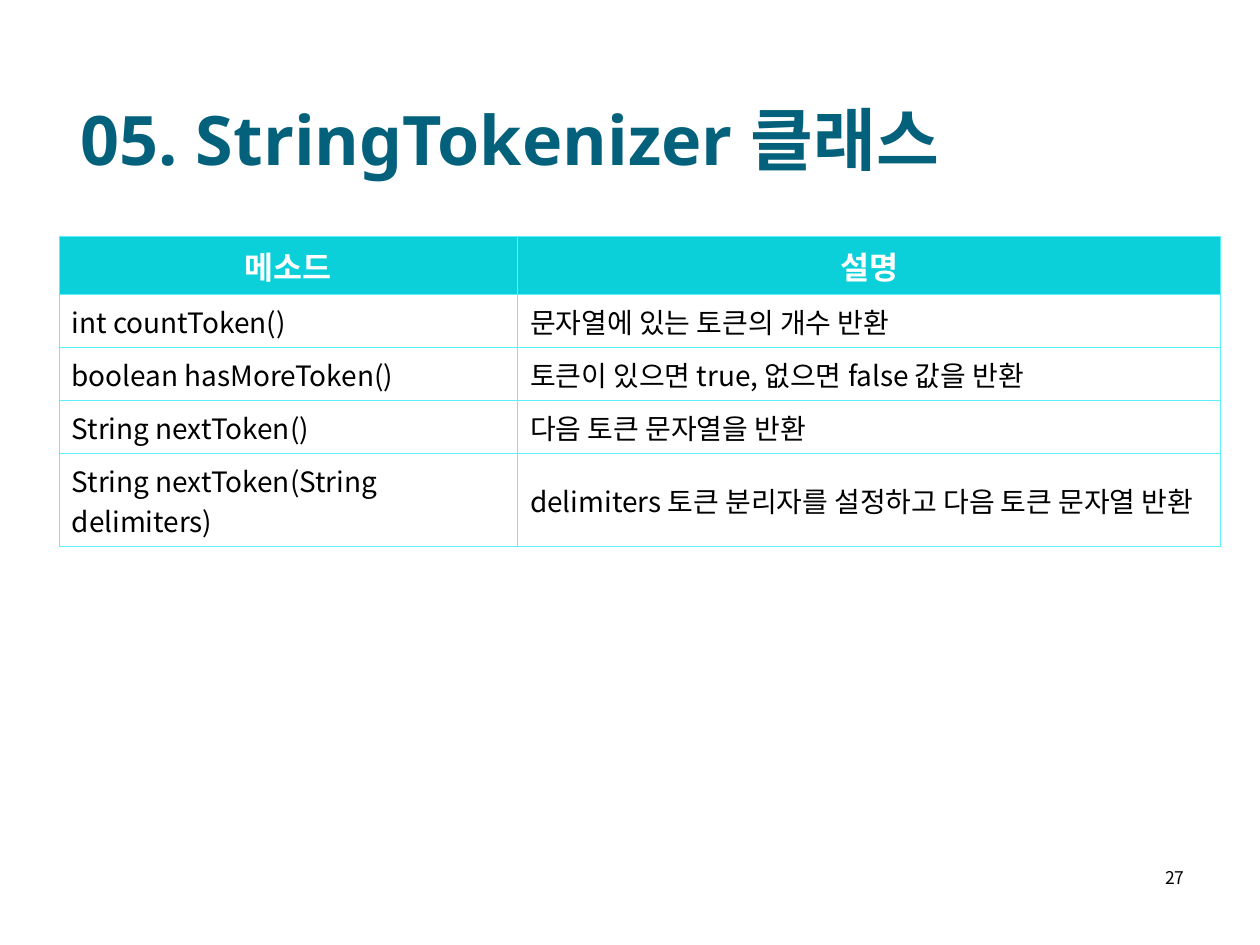
"""Build the StringTokenizer method table slide."""
from lxml.etree import SubElement
from pptx import Presentation
from pptx.dml.color import RGBColor
from pptx.enum.text import MSO_ANCHOR, MSO_AUTO_SIZE, PP_ALIGN
from pptx.oxml.ns import qn
from pptx.util import Pt

TITLE = "05. StringTokenizer 클래스"
PAGE = "27"
ROWS = [
    ("메소드", "설명"),
    ("int countToken()", "문자열에 있는 토큰의 개수 반환"),
    ("boolean hasMoreToken()", "토큰이 있으면 true, 없으면 false 값을 반환"),
    ("String nextToken()", "다음 토큰 문자열을 반환"),
    ("String nextToken(String delimiters)",
     "delimiters 토큰 분리자를 설정하고 다음 토큰 문자열 반환"),
]
COL_WIDTHS = (262, 401.8)
ROW_HEIGHTS = (33.1, 30.3, 30.3, 30.3, 53.2)

NAVY = RGBColor(0x04, 0x61, 0x7B)
TURQUOISE = RGBColor(0x0B, 0xD0, 0xD9)
AQUA = RGBColor(0x5E, 0xF0, 0xF7)
WHITE = RGBColor(255, 255, 255)
BLACK = RGBColor(0, 0, 0)
KOREAN = "Noto Sans CJK KR"


def write(tf, text, size, name, color, bold=False, align=PP_ALIGN.LEFT):
    p = tf.paragraphs[0]
    p.text = text
    p.alignment = align
    font = p.font
    font.size, font.name, font.bold = Pt(size), name, bold
    font.color.rgb = color
    SubElement(p._p.pPr.find(qn("a:defRPr")), qn("a:ea"), typeface=KOREAN)


def add_borders(cell):
    tc_pr = cell._tc.get_or_add_tcPr()
    for side in ("lnL", "lnR", "lnT", "lnB"):
        ln = SubElement(tc_pr, qn(f"a:{side}"), w=str(Pt(0.45)))
        fill = SubElement(ln, qn("a:solidFill"))
        SubElement(fill, qn("a:srgbClr"), val=str(AQUA))


def add_method_table(s):
    frame = s.shapes.add_table(len(ROWS), len(COL_WIDTHS), Pt(33.8), Pt(135.2),
                               Pt(sum(COL_WIDTHS)), Pt(sum(ROW_HEIGHTS)))
    table = frame.table
    table.horz_banding = False
    for column, width in zip(table.columns, COL_WIDTHS):
        column.width = Pt(width)
    for i, (row, height) in enumerate(zip(table.rows, ROW_HEIGHTS)):
        row.height = Pt(height)
        for cell, text in zip(row.cells, ROWS[i]):
            add_borders(cell)
            cell.vertical_anchor = MSO_ANCHOR.MIDDLE
            cell.margin_left = Pt(7.2)
            cell.margin_top = cell.margin_bottom = Pt(3.6)
            if i == 0:
                cell.margin_right = Pt(7.2)
                cell.fill.solid()
                cell.fill.fore_color.rgb = TURQUOISE
                write(cell.text_frame, text, 18, "Vollkorn", WHITE, True, PP_ALIGN.CENTER)
            else:
                cell.margin_right = Pt(0.7)
                cell.fill.background()
                write(cell.text_frame, text, 16, KOREAN, BLACK)


def main():
    prs = Presentation()
    prs.slide_width, prs.slide_height = Pt(720), Pt(540)
    s = prs.slides.add_slide(prs.slide_layouts[5])

    title = s.shapes.title
    title.left, title.top, title.width, title.height = Pt(38.9), Pt(15.1), Pt(654.5), Pt(90.7)
    tf = title.text_frame
    tf.auto_size = MSO_AUTO_SIZE.NONE
    tf.vertical_anchor = MSO_ANCHOR.BOTTOM
    write(tf, TITLE, 39, "Noto Sans", NAVY, True)

    number = s.shapes.add_textbox(Pt(516.2), Pt(491.8), Pt(167.8), Pt(36))
    number.text_frame.word_wrap = True
    write(number.text_frame, PAGE, 10, KOREAN, BLACK, align=PP_ALIGN.RIGHT)

    add_method_table(s)
    prs.save("out.pptx")


if __name__ == "__main__":
    main()
